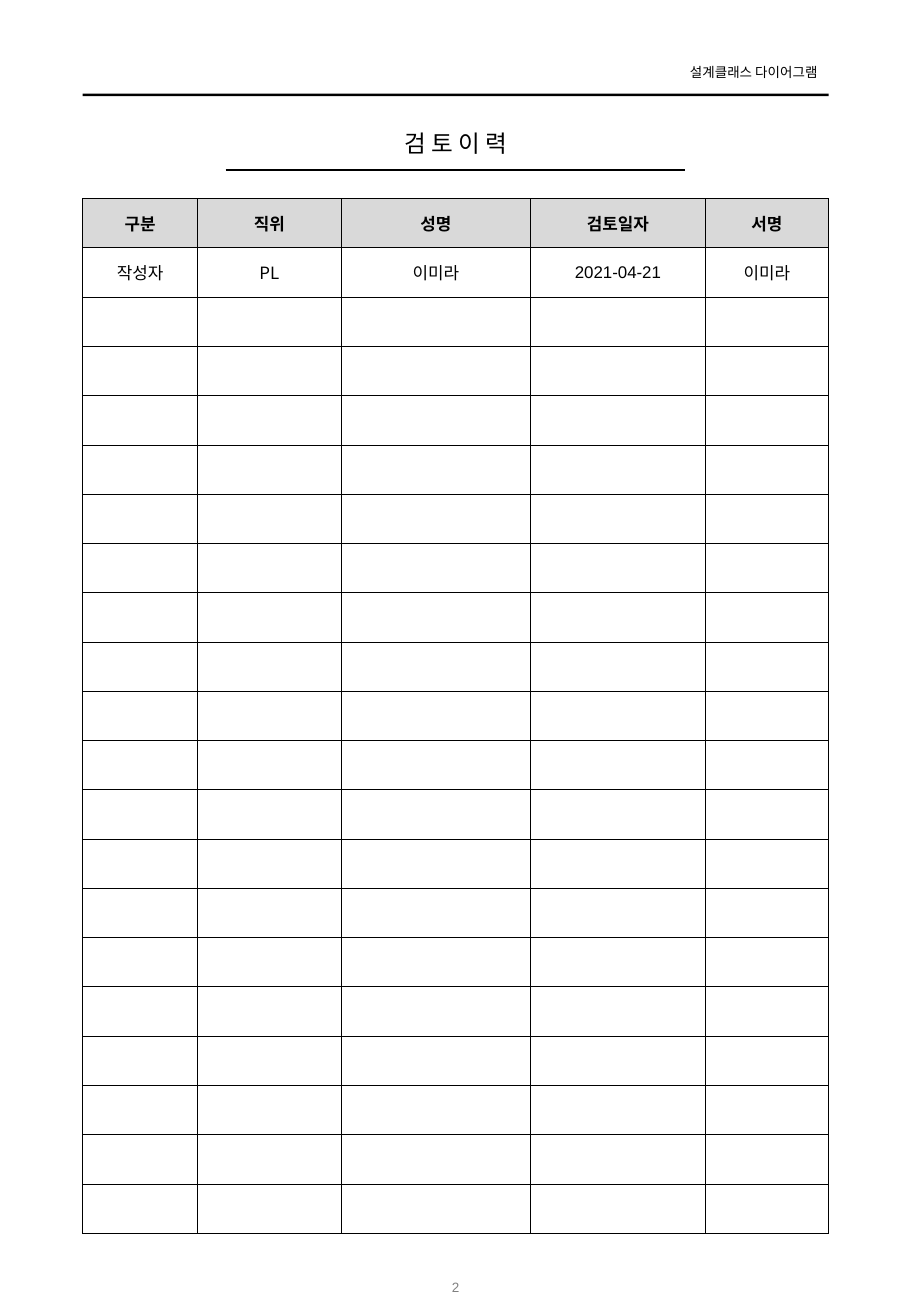
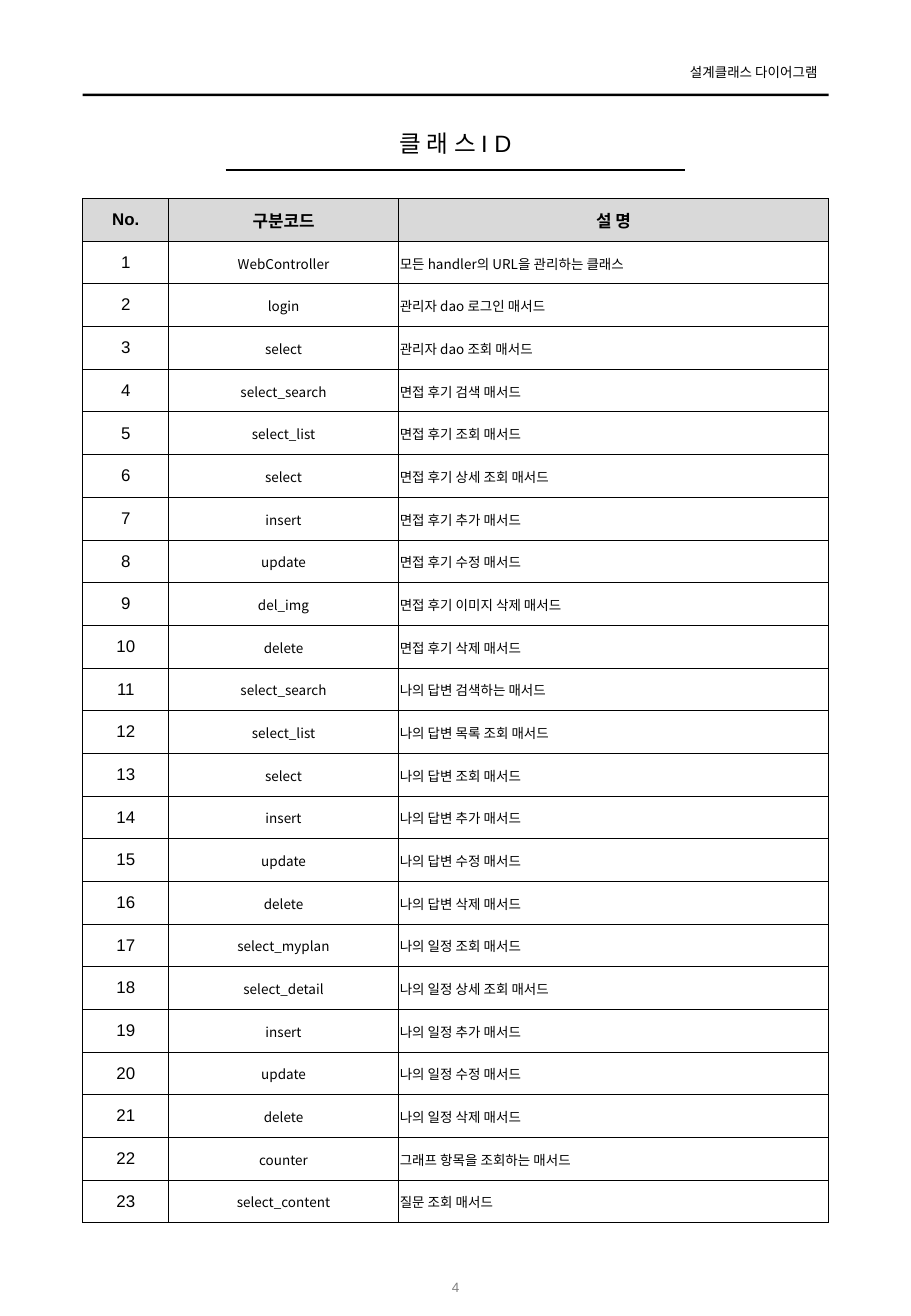
from lxml.etree import SubElement
from pptx import Presentation
from pptx.dml.color import RGBColor
from pptx.enum.shapes import MSO_CONNECTOR, MSO_SHAPE
from pptx.enum.text import MSO_ANCHOR as ANCHOR, PP_ALIGN as ALIGN
from pptx.oxml.ns import qn
from pptx.util import Cm, Pt

BLACK = RGBColor(0x00, 0x00, 0x00)
GREY = RGBColor(0x80, 0x80, 0x80)
HEAD_FILL = RGBColor(0xD9, 0xD9, 0xD9)
ARIAL = "Arial"
NOTO = "Noto Sans CJK KR"
LEFT, WIDTH = 1.73, 15.6

REVIEW_ROWS = [
    ["구분", "직위", "성명", "검토일자", "서명"],
    ["작성자", "PL", "이미라", "2021-04-21", "이미라"],
] + [[""] * 5 for _ in range(19)]

METHODS = [
    ("WebController", "모든 handler의 URL을 관리하는 클래스"),
    ("login", "관리자 dao 로그인 매서드"),
    ("select", "관리자 dao 조회 매서드"),
    ("select_search", "면접 후기 검색 매서드"),
    ("select_list", "면접 후기 조회 매서드"),
    ("select", "면접 후기 상세 조회 매서드"),
    ("insert", "면접 후기 추가 매서드"),
    ("update", "면접 후기 수정 매서드"),
    ("del_img", "면접 후기 이미지 삭제 매서드"),
    ("delete", "면접 후기 삭제 매서드"),
    ("select_search", "나의 답변 검색하는 매서드"),
    ("select_list", "나의 답변 목록 조회 매서드"),
    ("select", "나의 답변 조회 매서드"),
    ("insert", "나의 답변 추가 매서드"),
    ("update", "나의 답변 수정 매서드"),
    ("delete", "나의 답변 삭제 매서드"),
    ("select_myplan", "나의 일정 조회 매서드"),
    ("select_detail", "나의 일정 상세 조회 매서드"),
    ("insert", "나의 일정 추가 매서드"),
    ("update", "나의 일정 수정 매서드"),
    ("delete", "나의 일정 삭제 매서드"),
    ("counter", "그래프 항목을 조회하는 매서드"),
    ("select_content", "질문 조회 매서드"),
]
METHOD_ROWS = [["No.", "구분코드", "설 명"]] + [
    [str(number), code, meaning] for number, (code, meaning) in enumerate(METHODS, 1)
]

PAGES = [
    ("검 토 이 력", "2", REVIEW_ROWS, [2.4, 3, 3.97, 3.64, 2.59], 21.64, False),
    ("클 래 스 I D", "4", METHOD_ROWS, [1.8, 4.8, 9], 21.41, True),
]


def write(frame, text, size, align=ALIGN.CENTER, font=ARIAL, color=BLACK, bold=False):
    paragraph = frame.paragraphs[0]
    paragraph.alignment = align
    if not text:
        SubElement(paragraph._p, qn("a:endParaRPr"), sz=str(size * 100))
        return
    run = paragraph.add_run()
    run.text = text
    run.font.size = Pt(size)
    run.font.name = font
    run.font.bold = bold
    run.font.color.rgb = color
    SubElement(run.font._element, qn("a:ea"), typeface=NOTO)


def add_label(slide, box, margins, anchor, text, size, align, color=BLACK):
    frame = slide.shapes.add_textbox(*map(Cm, box)).text_frame
    frame.word_wrap = True
    frame.vertical_anchor = anchor
    frame.margin_left, frame.margin_right = map(Cm, margins)
    write(frame, text, size, align, color=color)


deck = Presentation()
deck.slide_width, deck.slide_height = Cm(19.05), Cm(27.51)

for title, page, rows, widths, height, is_method_list in PAGES:
    slide = deck.slides.add_slide(deck.slide_layouts[6])

    header_rule = slide.shapes.add_shape(
        MSO_SHAPE.RECTANGLE, Cm(LEFT), Cm(1.96), Cm(WIDTH), Cm(0.05))
    header_rule.shadow.inherit = False
    header_rule.fill.solid()
    header_rule.fill.fore_color.rgb = BLACK
    header_rule.line.fill.background()

    underline = slide.shapes.add_connector(
        MSO_CONNECTOR.STRAIGHT, Cm(4.72), Cm(3.56), Cm(14.33), Cm(3.56))
    underline.line.color.rgb = BLACK
    underline.line.width = Pt(1)
    SubElement(underline._element.spPr, qn("a:effectLst"))

    add_label(slide, (13.9, 1.22, 3.4, 0.6), (0.25, 0.2), ANCHOR.TOP,
              "설계클래스 다이어그램", 8, ALIGN.RIGHT)
    add_label(slide, (LEFT, 2.56, WIDTH, 0.82), (0, 0), ANCHOR.TOP,
              title, 14, ALIGN.CENTER)
    add_label(slide, (8.33, 26.4, 2.4, 1), (0.25, 0.25), ANCHOR.MIDDLE,
              page, 8, ALIGN.CENTER, GREY)

    table = slide.shapes.add_table(
        len(rows), len(widths), Cm(LEFT), Cm(4.15), Cm(WIDTH), Cm(height)).table
    table.first_row = table.horz_banding = False
    for column, width in zip(table.columns, widths):
        column.width = Cm(width)

    for r, row in enumerate(rows):
        table.rows[r].height = Cm(height / len(rows))
        for c, text in enumerate(row):
            cell = table.cell(r, c)
            cell.vertical_anchor = ANCHOR.MIDDLE
            borders = cell._tc.get_or_add_tcPr()
            for side in ("lnL", "lnR", "lnT", "lnB"):
                edge = SubElement(borders, qn(f"a:{side}"), w=str(Pt(0.5)))
                ink = SubElement(edge, qn("a:solidFill"))
                SubElement(ink, qn("a:srgbClr"), val=str(BLACK))

            if r == 0:
                cell.fill.solid()
                cell.fill.fore_color.rgb = HEAD_FILL
                write(cell.text_frame, text, 10, bold=True)
                continue
            cell.fill.background()
            if is_method_list and c > 0:
                cell.margin_left = cell.margin_right = cell.margin_top = Cm(0.03)
                cell.margin_bottom = Cm(0)
                align = ALIGN.CENTER if c == 1 else ALIGN.LEFT
                write(cell.text_frame, text, 8, align, NOTO)
            else:
                write(cell.text_frame, text, 10, font=NOTO if text == "PL" else ARIAL)

deck.save("out.pptx")
